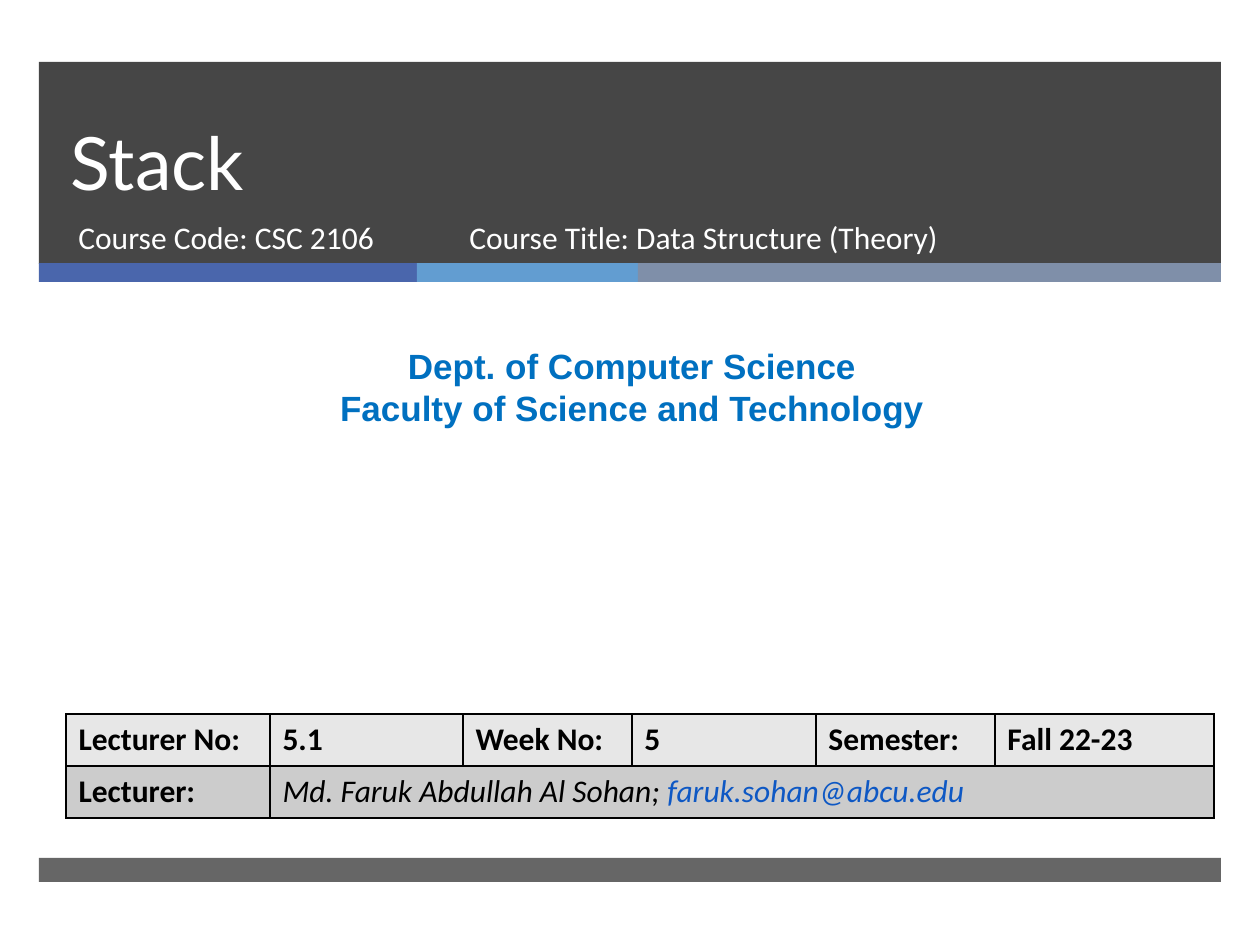
from lxml import etree
from pptx import Presentation
from pptx.dml.color import RGBColor
from pptx.enum.shapes import MSO_SHAPE
from pptx.enum.text import MSO_ANCHOR, MSO_AUTO_SIZE, PP_ALIGN
from pptx.oxml.ns import qn
from pptx.util import Emu, Pt

RECT = MSO_SHAPE.RECTANGLE
LEFT, CENTER = PP_ALIGN.LEFT, PP_ALIGN.CENTER
TOP, BOTTOM = MSO_ANCHOR.TOP, MSO_ANCHOR.BOTTOM
NO_FIT = MSO_AUTO_SIZE.NONE
PX = 914400 // 126

# Content
TITLE = "Stack"
COURSE = [  # text, left, width
    ("Course Code: CSC 2106", 66, 384),
    ("Course Title: Data Structure (Theory)", 457, 573),
]
DEPARTMENT = ["Dept. of Computer Science", "Faculty of Science and Technology"]
DETAILS = ["Lecturer No:", "5.1", "Week No:", "5", "Semester:", "Fall 22-23"]
LECTURER_LABEL = "Lecturer:"
LECTURER, EMAIL = "Md. Faruk Abdullah Al Sohan; ", "faruk.sohan@abcu.edu"

# Layout in px
BAR_LEFT, BAR_WIDTH = 39, 1182
BANDS = [(62, 202, 85), (858, 24, 70)]  # top, height, opacity in percent
STRIPES = [("4A66AC", 378), ("629DD1", 221), ("7F8FA9", 583)]
STRIPE_TOP, STRIPE_HEIGHT = 263, 19
COLUMNS = [204, 193, 169, 184, 179, 219]
ROW_HEIGHT = 52
ROW_FILLS = ["E7E7E7", "CCCCCC"]


def rgb(color):
    return RGBColor.from_string(color)


def box(*lengths):
    return [Emu(n * PX) for n in lengths]


def style(run, size, font, color, bold=False, italic=False):
    f = run.font
    f.size, f.name, f.bold, f.italic = Pt(size), font, bold, italic
    f.color.rgb = rgb(color)


def add_bar(shapes, x, y, w, h, color, opacity=100):
    s = shapes.add_shape(RECT, *box(x, y, w, h))
    s.shadow.inherit = False
    s.line.fill.background()
    s.fill.solid()
    s.fill.fore_color.rgb = rgb(color)
    if opacity < 100:
        clr = s.fill._xPr.find(qn("a:solidFill"))[0]
        etree.SubElement(clr, qn("a:alpha")).set("val", str(opacity * 1000))


def add_text(shapes, lines, x, y, w, h, size, font, color, align=LEFT, bold=False):
    tf = shapes.add_textbox(*box(x, y, w, h)).text_frame
    tf.word_wrap = True
    tf.text = "\n".join(lines)
    for p in tf.paragraphs:
        p.alignment = align
        style(p.runs[0], size, font, color, bold)


def add_borders(cell, color="000000", width=1):
    tc_pr = cell._tc.get_or_add_tcPr()
    for i, side in enumerate(("lnL", "lnR", "lnT", "lnB")):
        ln = etree.Element(qn(f"a:{side}"), w=str(Pt(width)))
        fill = etree.SubElement(ln, qn("a:solidFill"))
        etree.SubElement(fill, qn("a:srgbClr")).set("val", color)
        tc_pr.insert(i, ln)


prs = Presentation()
prs.slide_width, prs.slide_height = box(1260, 945)
slide = prs.slides.add_slide(prs.slide_layouts[5])
shapes = slide.shapes

# Bands and colour stripes
for top, height, opacity in BANDS:
    add_bar(shapes, BAR_LEFT, top, BAR_WIDTH, height, "262626", opacity)
x = BAR_LEFT
for color, width in STRIPES:
    add_bar(shapes, x, STRIPE_TOP, width, STRIPE_HEIGHT, color)
    x += width

# Title, brought in front of the bands
title = shapes.title
shapes._spTree.append(title._element)
title.left, title.top, title.width, title.height = box(58, 62, 1076, 150)
tf = title.text_frame
tf.text = TITLE
tf.auto_size, tf.vertical_anchor = NO_FIT, BOTTOM
p = tf.paragraphs[0]
p.alignment, p.line_spacing = LEFT, Pt(46)
style(p.runs[0], 42, "Lato", "FFFFFF")

# Course line and department
for text, left, width in COURSE:
    add_text(shapes, [text], left, 212, width, 67, 18, "Calibri", "FFFFFF")
add_text(shapes, DEPARTMENT, 10, 338, 1244, 97, 20, "Arial", "0070C0", CENTER, True)

# Lecture details table
rows = [DETAILS, [LECTURER_LABEL, LECTURER]]
frame = shapes.add_table(len(rows), len(COLUMNS),
                         *box(66, 714, sum(COLUMNS), ROW_HEIGHT * len(rows)))
table = frame.table
table.first_row = table.horz_banding = False
for column, width in zip(table.columns, COLUMNS):
    column.width = Emu(width * PX)
for r, texts in enumerate(rows):
    for c in range(len(COLUMNS)):
        cell = table.cell(r, c)
        cell.vertical_anchor = TOP
        cell.fill.solid()
        cell.fill.fore_color.rgb = rgb(ROW_FILLS[r])
        add_borders(cell)
        if c < len(texts):
            cell.text = texts[c]
            style(cell.text_frame.paragraphs[0].runs[0], 18, "Calibri", "000000", True)

# Lecturer name and e-mail across the remaining columns
lecturer = table.cell(1, 1)
lecturer.merge(table.cell(1, len(COLUMNS) - 1))
p = lecturer.text_frame.paragraphs[0]
style(p.runs[0], 18, "Calibri", "000000", italic=True)
email = p.add_run()
email.text = EMAIL
style(email, 18, "Calibri", "0E58C4", italic=True)

prs.save("out.pptx")
